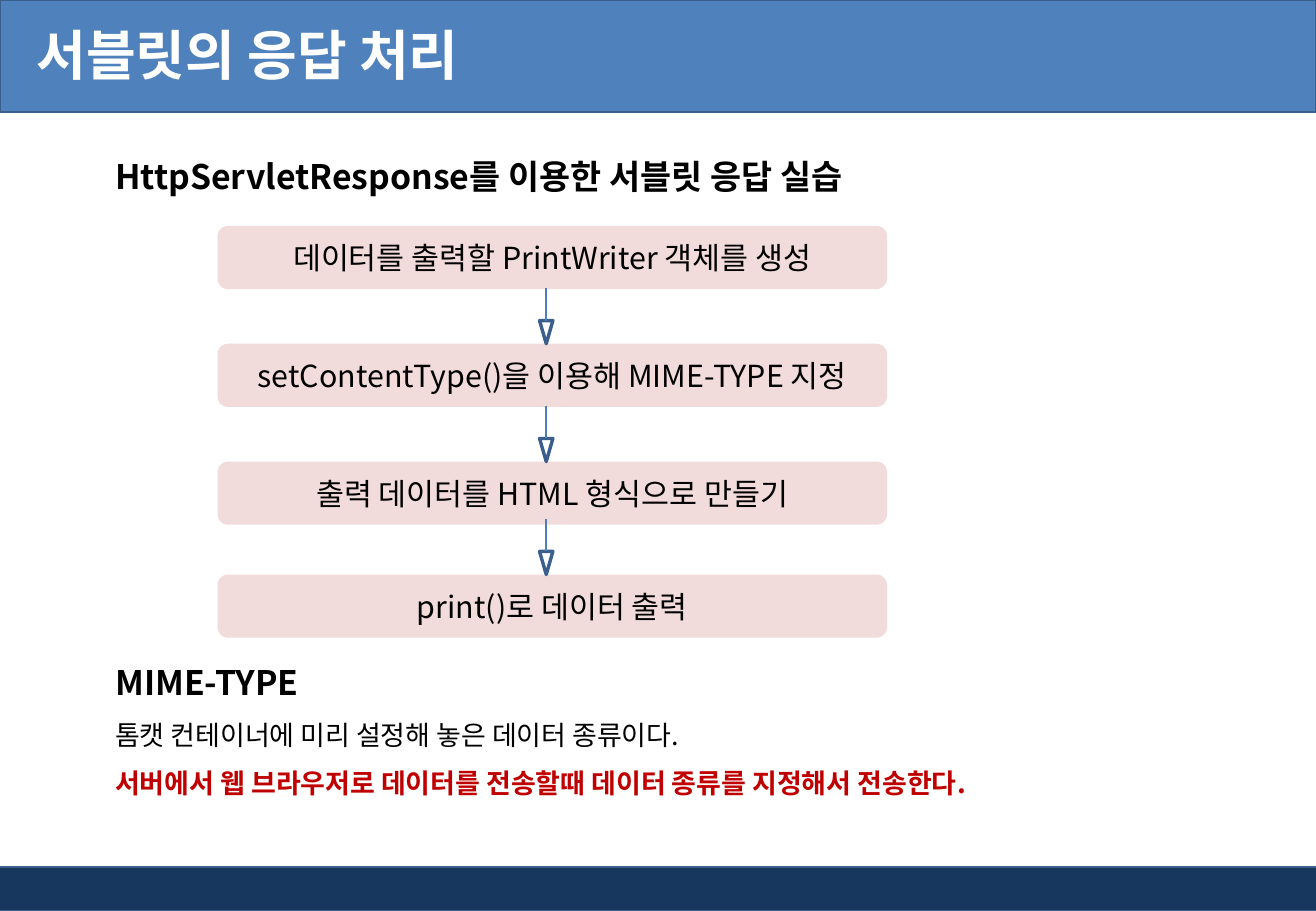
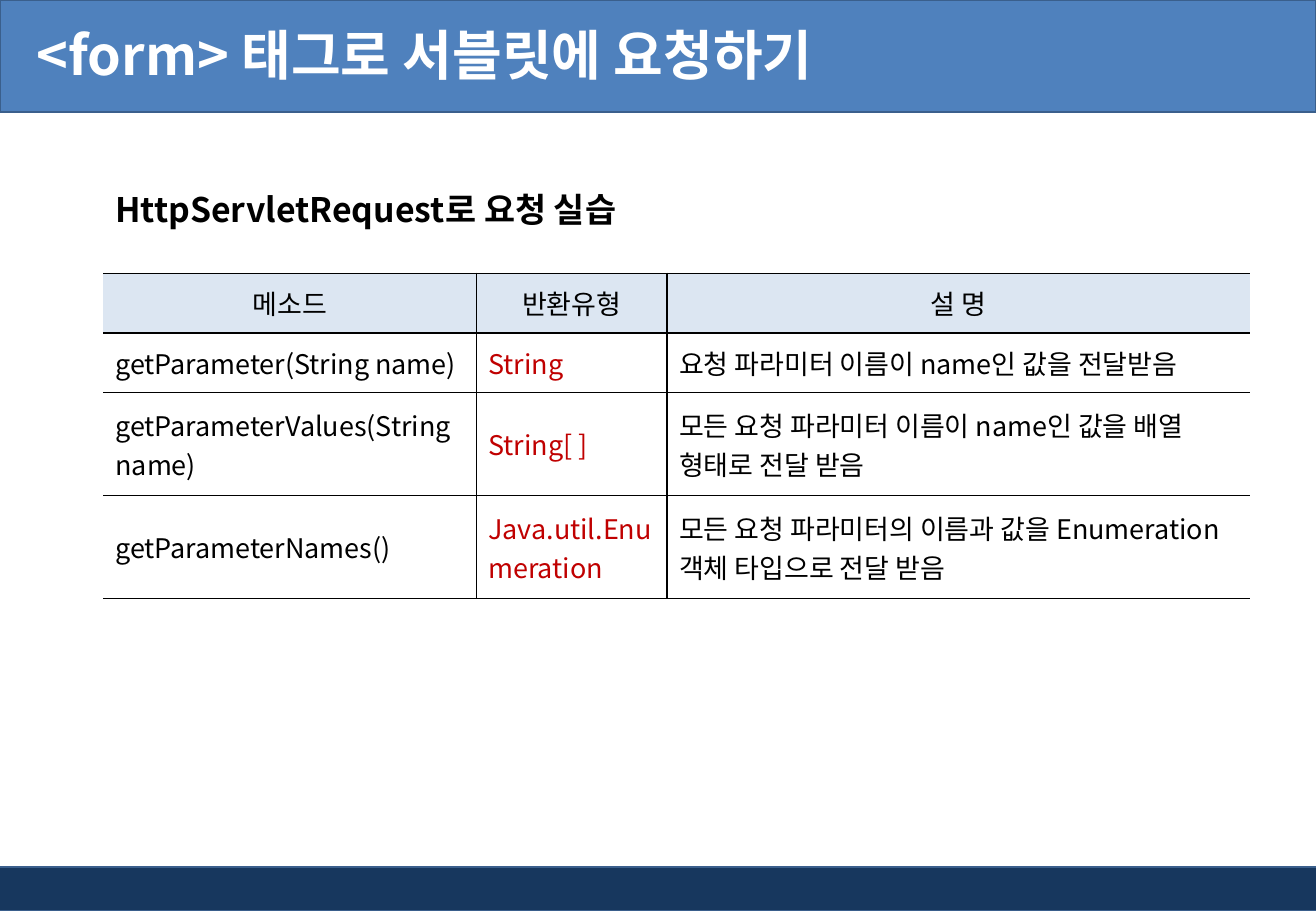
from dataclasses import dataclass

from lxml.etree import SubElement
from pptx import Presentation
from pptx.dml.color import RGBColor as RGB
from pptx.enum.shapes import MSO_CONNECTOR as Link, MSO_SHAPE as Shape
from pptx.enum.text import MSO_ANCHOR as Anchor, MSO_AUTO_SIZE as Fit, PP_ALIGN as Align
from pptx.oxml import parse_xml
from pptx.oxml.ns import nsdecls, qn
from pptx.util import Inches, Pt


@dataclass(frozen=True)
class Theme:
    face: str = "Noto Sans CJK KR"
    band: str = "4F81BD"
    foot: str = "17375E"
    edge: str = "3A5F8C"
    stem: str = "4B7EBC"
    step: str = "F2DCDB"
    head: str = "DCE6F2"
    ink: str = "000000"
    red: str = "C00000"
    white: str = "FFFFFF"
    title: int = 32
    topic: int = 20
    label: int = 18
    body: int = 16


T = Theme()
WIDE, HIGH = 10.83, 7.5
LEFT = 0.85


def color(code):
    return RGB.from_string(code)


def style(para, size, tint=T.ink, bold=False):
    """Format every run, with the same face for Latin and Korean."""
    for run in para.runs:
        font = run.font
        font.size, font.bold, font.name = Pt(size), bold, T.face
        font.color.rgb = color(tint)
        ea = parse_xml(f'<a:ea {nsdecls("a")} typeface="{T.face}"/>')
        run._r.rPr.find(qn("a:latin")).addnext(ea)


def add_box(slide, kind, x, y, w, h, fill=None, line=None, weight=1):
    box = slide.shapes.add_shape(kind, Inches(x), Inches(y), Inches(w), Inches(h))
    box.shadow.inherit = False
    if fill:
        box.fill.solid()
        box.fill.fore_color.rgb = color(fill)
    else:
        box.fill.background()
    if line:
        box.line.color.rgb = color(line)
        box.line.width = Pt(weight)
    else:
        box.line.fill.background()
    return box


def add_text(slide, x, y, w, h, lines):
    """Each line is (text, size, colour, bold)."""
    frame = slide.shapes.add_textbox(Inches(x), Inches(y), Inches(w), Inches(h)).text_frame
    frame.word_wrap = True
    frame.text = "\n".join(line[0] for line in lines)
    for para, (_, *look) in zip(frame.paragraphs, lines):
        style(para, *look)
    return frame


def add_notes(slide, y, h, lines):
    frame = add_text(slide, LEFT, y, 9.6, h, lines)
    frame.auto_size = Fit.SHAPE_TO_FIT_TEXT
    for para in frame.paragraphs:
        para.line_spacing = 1.5


def add_page(deck, title):
    """Start a slide with its two bands and title."""
    slide = deck.slides.add_slide(deck.slide_layouts[6])
    add_box(slide, Shape.RECTANGLE, -0.04, 7.14, 10.88, 0.36, T.foot, T.edge)
    add_box(slide, Shape.RECTANGLE, 0, 0, WIDE, 0.92, T.band, T.edge)
    frame = add_text(slide, 0, -0.03, 9.12, 0.94, [(title, T.title, T.white, True)])
    frame.vertical_anchor = Anchor.MIDDLE
    frame.margin_left = Inches(0.3)
    return slide


def add_arrow(slide, x, tip):
    """Hollow-headed arrow pointing down to the given tip."""
    w, h, stem = 0.11, 0.19, 0.27
    neck = tip - h
    head = add_box(slide, Shape.ISOSCELES_TRIANGLE, x - w / 2, neck, w, h, line=T.edge, weight=2)
    head.rotation = 180
    line = slide.shapes.add_connector(
        Link.STRAIGHT, Inches(x), Inches(neck - stem), Inches(x), Inches(neck))
    line.line.color.rgb = color(T.stem)
    line.line.width = Pt(1)
    SubElement(line._element.spPr, qn("a:effectLst"))


def add_flow(slide, x, w, h, steps):
    for top, text in steps:
        box = add_box(slide, Shape.ROUNDED_RECTANGLE, x, top, w, h, T.step)
        frame = box.text_frame
        frame.text = text
        frame.vertical_anchor = Anchor.MIDDLE
        para = frame.paragraphs[0]
        para.alignment = Align.CENTER
        style(para, T.label)
    for top, _ in steps[1:]:
        add_arrow(slide, x + w / 2 - 0.05, top)


def set_edges(cell, hidden):
    """Rule all sides of a cell but the hidden ones."""
    props = cell._tc.get_or_add_tcPr()
    for spot, side in enumerate("LRTB"):
        paint = ("<a:noFill/>" if side in hidden else
                 f'<a:solidFill><a:srgbClr val="{T.ink}"/></a:solidFill>')
        props.insert(spot, parse_xml(
            f'<a:ln{side} {nsdecls("a")} w="{Pt(1)}">{paint}</a:ln{side}>'))


def add_grid(slide, x, y, cols, tall, rows):
    table = slide.shapes.add_table(
        len(rows), len(cols), Inches(x), Inches(y),
        Inches(sum(cols)), Inches(sum(tall))).table
    table.first_row = table.horz_banding = False
    for col, w in zip(table.columns, cols):
        col.width = Inches(w)
    for row, h in zip(table.rows, tall):
        row.height = Inches(h)
    for r, texts in enumerate(rows):
        for c, text in enumerate(texts):
            cell = table.cell(r, c)
            cell.text = text
            cell.vertical_anchor = Anchor.MIDDLE
            para = cell.text_frame.paragraphs[0]
            style(para, T.body, T.red if r and c == 1 else T.ink)
            if r:
                cell.fill.background()
            else:
                para.alignment = Align.CENTER
                cell.fill.solid()
                cell.fill.fore_color.rgb = color(T.head)
            set_edges(cell, {0: "L", len(cols) - 1: "R"}.get(c, ""))


def reply_page(deck):
    slide = add_page(deck, "서블릿의 응답 처리")
    add_notes(slide, 1.07, 0.54, [
        ("HttpServletResponse를 이용한 서블릿 응답 실습", T.topic, T.ink, True)])
    add_flow(slide, 1.79, 5.51, 0.52, [
        (1.86, "데이터를 출력할 PrintWriter 객체를 생성"),
        (2.83, "setContentType()을 이용해 MIME-TYPE 지정"),
        (3.8, "출력 데이터를 HTML 형식으로 만들기"),
        (4.73, "print()로 데이터 출력")])
    add_notes(slide, 5.23, 1.46, [
        ("MIME-TYPE", T.topic, T.ink, True),
        ("톰캣 컨테이너에 미리 설정해 놓은 데이터 종류이다.", T.body, T.ink, False),
        ("서버에서 웹 브라우저로 데이터를 전송할때 데이터 종류를 지정해서 전송한다.",
         T.body, T.red, True)])


def form_page(deck):
    slide = add_page(deck, "<form> 태그로 서블릿에 요청하기")
    add_notes(slide, 1.34, 0.54, [
        ("HttpServletRequest로 요청 실습", T.topic, T.ink, True)])
    add_grid(slide, LEFT, 2.25, (3.07, 1.57, 4.8), (0.49, 0.49, 0.85, 0.85), [
        ("메소드", "반환유형", "설 명"),
        ("getParameter(String name)", "String",
         "요청 파라미터 이름이 name인 값을 전달받음"),
        ("getParameterValues(String name)", "String[ ]",
         "모든 요청 파라미터 이름이 name인 값을 배열 형태로 전달 받음"),
        ("getParameterNames()", "Java.util.Enumeration",
         "모든 요청 파라미터의 이름과 값을 Enumeration 객체 타입으로 전달 받음")])


def main():
    deck = Presentation()
    deck.slide_width, deck.slide_height = Inches(WIDE), Inches(HIGH)
    reply_page(deck)
    form_page(deck)
    deck.save("out.pptx")


if __name__ == "__main__":
    main()
